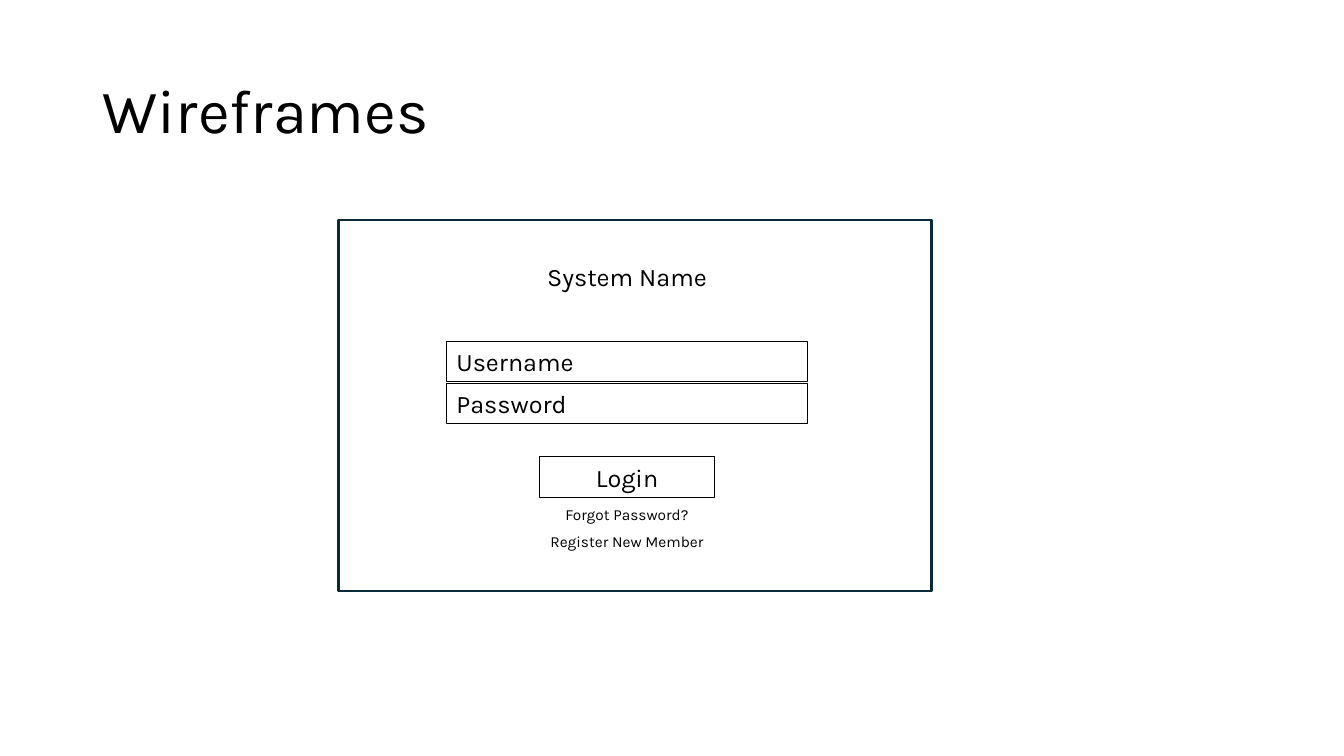
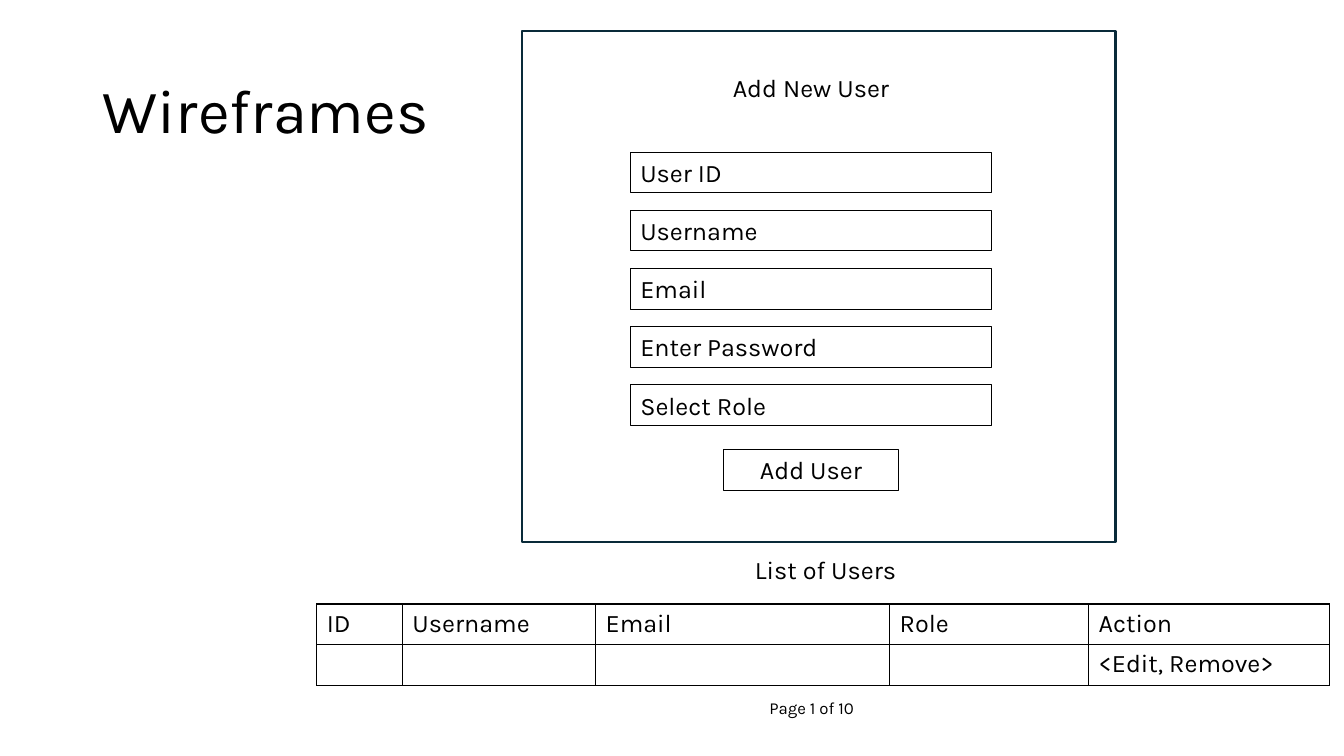
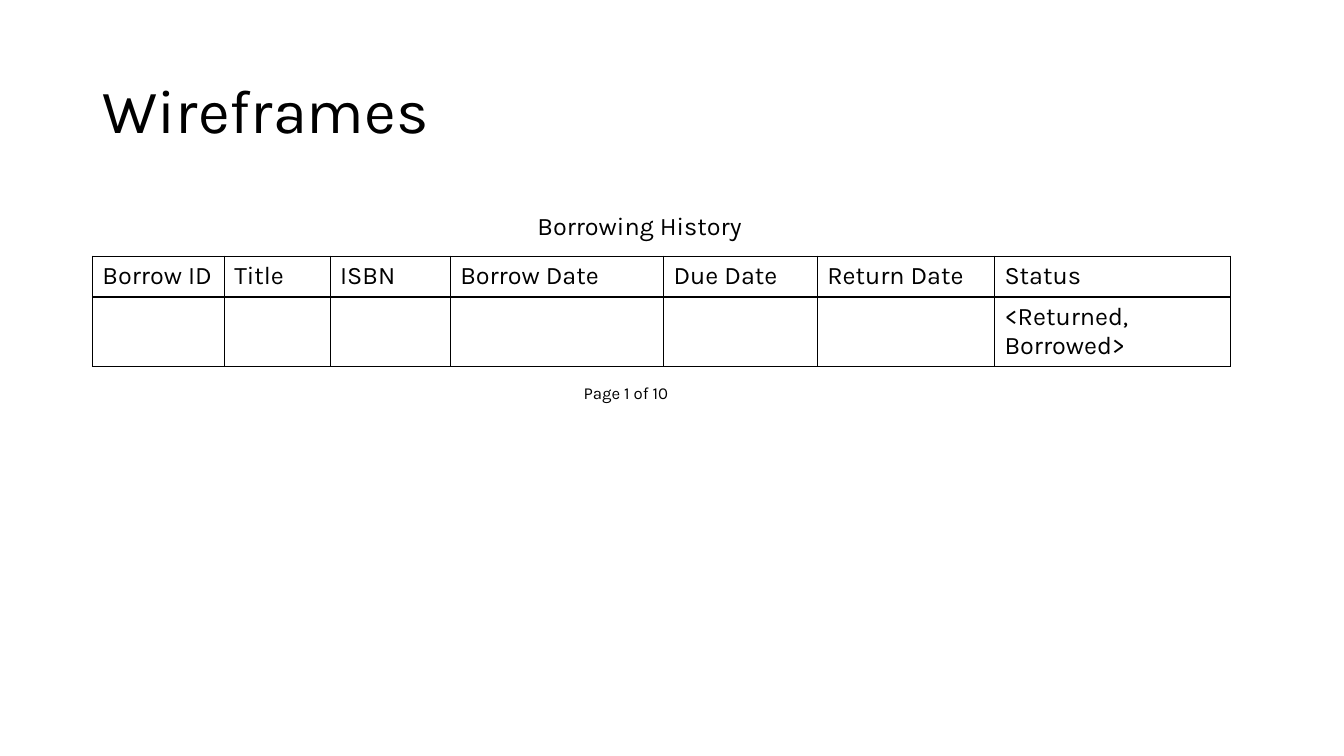
from dataclasses import dataclass

from lxml.etree import SubElement
from pptx import Presentation
from pptx.dml.color import RGBColor
from pptx.enum.shapes import MSO_SHAPE
from pptx.enum.text import MSO_ANCHOR, MSO_AUTO_SIZE, PP_ALIGN
from pptx.oxml.ns import qn
from pptx.util import Emu, Pt


@dataclass(frozen=True)
class Theme:
    font: str = "Karla"
    ink: RGBColor = RGBColor(0x00, 0x00, 0x00)
    paper: RGBColor = RGBColor(0xFF, 0xFF, 0xFF)
    frame: RGBColor = RGBColor(0x09, 0x2A, 0x39)
    title: int = 44
    body: int = 18
    page: int = 12
    link: int = 11
    frame_line: float = 1.5
    field_line: float = 0.75
    table_line: float = 1


theme = Theme()

# The slide is a grid of 160 columns by 90 rows of square units.
COLUMNS, ROWS = 160, 90
UNIT = Emu(76200)
LINE_HEIGHT = 4.85


def grid(*lengths):
    """Turn grid units into slide lengths."""
    return [Emu(round(length * UNIT)) for length in lengths]


def write(target, text, *, at=None, size=theme.body, align=PP_ALIGN.LEFT,
          spacing=None, outlined=False):
    """Write into a text frame, or into a new box when target is a slide."""
    text_frame = target
    if at is not None:
        box = target.shapes.add_textbox(*grid(*at))
        text_frame = box.text_frame
        text_frame.word_wrap = True
        text_frame.auto_size = MSO_AUTO_SIZE.SHAPE_TO_FIT_TEXT
        if outlined:
            box.line.color.rgb = theme.ink
            box.line.width = Pt(theme.field_line)
    text_frame.text = text
    paragraph = text_frame.paragraphs[0]
    paragraph.alignment = align
    if spacing:
        paragraph.line_spacing = spacing
    font = paragraph.runs[0].font
    font.name = theme.font
    font.size = Pt(size)
    font.bold = False
    font.color.rgb = theme.ink


presentation = Presentation()
presentation.slide_width, presentation.slide_height = grid(COLUMNS, ROWS)

# Shared background and title position
layout = presentation.slide_layouts.get_by_name("Title Only")
layout.background.fill.solid()
layout.background.fill.fore_color.rgb = theme.paper
layout_title = layout.placeholders[0]
(layout_title.left, layout_title.top,
 layout_title.width, layout_title.height) = grid(11, 4.8, 138, 17.4)

slides = [presentation.slides.add_slide(layout) for _ in range(3)]
for slide in slides:
    title_frame = slide.shapes.title.text_frame
    title_frame.vertical_anchor = MSO_ANCHOR.MIDDLE
    write(title_frame, "Wireframes", size=theme.title, spacing=0.9)
login_slide, users_slide, history_slide = slides

# Forms: everything inside a frame is centred on one axis
FRAME_WIDTH, AXIS = 70.6, 34.35
CAPTION_WIDTH, FIELD_WIDTH, BUTTON_WIDTH = 53.4, 43, 20.9
CAPTION_TOP, FIELDS_TOP = 4.3, 14.4
LINKS_TOP, LINK_PITCH, LINK_HEIGHT = 33.4, 3.1, 3.4

forms = [
    dict(slide=login_slide, left=40.3, top=26.2, height=44.2,
         caption="System Name", fields=["Username", "Password"], pitch=5,
         button="Login", button_top=28.2,
         links=["Forgot Password?", "Register New Member"]),
    dict(slide=users_slide, left=62.2, top=3.7, height=60.8,
         caption="Add New User",
         fields=["User ID", "Username", "Email", "Enter Password", "Select Role"],
         pitch=6.93, button="Add User", button_top=49.8, links=[]),
]

for form in forms:
    slide, top = form["slide"], form["top"]
    axis = form["left"] + AXIS
    frame = slide.shapes.add_shape(
        MSO_SHAPE.RECTANGLE, *grid(form["left"], top, FRAME_WIDTH, form["height"]))
    frame.shadow.inherit = False
    frame.fill.solid()
    frame.fill.fore_color.rgb = theme.paper
    frame.line.color.rgb = theme.frame
    frame.line.width = Pt(theme.frame_line)

    write(slide, form["caption"], align=PP_ALIGN.CENTER,
          at=(axis - CAPTION_WIDTH / 2, top + CAPTION_TOP, CAPTION_WIDTH, LINE_HEIGHT))
    for index, field in enumerate(form["fields"]):
        field_top = top + FIELDS_TOP + index * form["pitch"]
        write(slide, field, outlined=True,
              at=(axis - FIELD_WIDTH / 2, field_top, FIELD_WIDTH, LINE_HEIGHT))
    write(slide, form["button"], align=PP_ALIGN.CENTER, outlined=True,
          at=(axis - BUTTON_WIDTH / 2, top + form["button_top"], BUTTON_WIDTH, LINE_HEIGHT))
    for index, link in enumerate(form["links"]):
        link_top = top + LINKS_TOP + index * LINK_PITCH
        write(slide, link, size=theme.link, align=PP_ALIGN.CENTER,
              at=(axis - CAPTION_WIDTH / 2, link_top, CAPTION_WIDTH, LINK_HEIGHT))

# Lists: a heading, a table and a page count
lists = [
    dict(slide=users_slide, heading="List of Users", heading_at=(88.7, 65.4),
         table_at=(37.7, 71.9), page_at=(90.4, 82.5),
         columns={"ID": 10.2, "Username": 23, "Email": 35, "Role": 23.7, "Action": 28.7},
         last_cell="<Edit, Remove>"),
    dict(slide=history_slide, heading="Borrowing History", heading_at=(62.8, 24.5),
         table_at=(11, 30.5), page_at=(68.3, 45),
         columns={"Borrow ID": 15.7, "Title": 12.6, "ISBN": 14.3, "Borrow Date": 25.4,
                  "Due Date": 18.3, "Return Date": 21.1, "Status": 28.1},
         last_cell="<Returned, Borrowed>"),
]

for listing in lists:
    slide, columns = listing["slide"], listing["columns"]
    table = slide.shapes.add_table(
        2, len(columns),
        *grid(*listing["table_at"], sum(columns.values()), 2 * LINE_HEIGHT)).table
    table.horz_banding = False
    for column, width in zip(table.columns, columns.values()):
        column.width = grid(width)[0]
    for cell in table.iter_cells():
        properties = cell._tc.get_or_add_tcPr()
        for side in ("a:lnL", "a:lnR", "a:lnT", "a:lnB"):
            border = SubElement(properties, qn(side), w=str(Pt(theme.table_line)))
            border_fill = SubElement(border, qn("a:solidFill"))
            SubElement(border_fill, qn("a:srgbClr"), val=str(theme.ink))
        cell.fill.background()
    for index, name in enumerate(columns):
        write(table.cell(0, index).text_frame, name)
    write(table.cell(1, len(columns) - 1).text_frame, listing["last_cell"])

    write(slide, listing["heading"], at=(*listing["heading_at"], 35, LINE_HEIGHT))
    write(slide, "Page 1 of 10", size=theme.page, at=(*listing["page_at"], 45, 3.6))

presentation.save("out.pptx")
